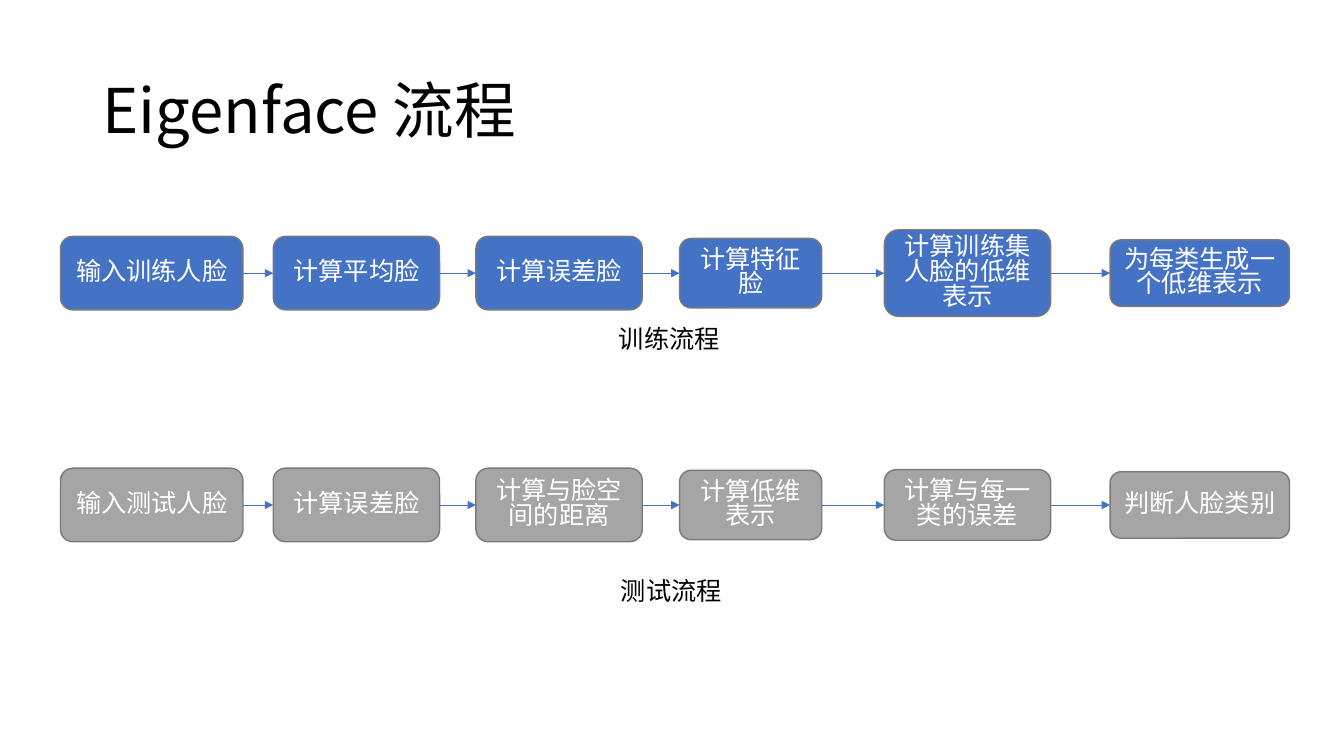
from itertools import pairwise

from lxml.etree import SubElement
from pptx import Presentation
from pptx.dml.color import RGBColor
from pptx.enum.shapes import MSO_CONNECTOR, MSO_SHAPE
from pptx.enum.text import MSO_ANCHOR, PP_ALIGN
from pptx.oxml.ns import qn
from pptx.util import Inches, Pt

COLUMNS = [(0.6, 1.81), (2.71, 1.65), (4.72, 1.65), (6.74, 1.41), (8.77, 1.65), (11.01, 1.78)]
TRAINING_STEPS = ["输入训练人脸", "计算平均脸", "计算误差脸", "计算特征脸",
                  "计算训练集人脸的低维表示", "为每类生成一个低维表示"]
TESTING_STEPS = ["输入测试人脸", "计算误差脸", "计算与脸空间的距离", "计算低维表示",
                 "计算与每一类的误差", "判断人脸类别"]
TRAINING_HEIGHTS = [0.73, 0.73, 0.73, 0.69, 0.86, 0.66]
TESTING_HEIGHTS = [0.73, 0.73, 0.73, 0.69, 0.7, 0.66]


def color(value):
    return RGBColor.from_string(value)


class FlowSlide:
    font = "Noto Sans CJK SC"
    blue = "4472C4"
    gray = "A5A5A5"
    outline = "7A7A7A"
    black = "000000"
    white = "FFFFFF"

    def __init__(self, page):
        self.page = page

    def style_text(self, shape, text, size, text_color, spacing):
        shape.text_frame.text = text
        para = shape.text_frame.paragraphs[0]
        para.line_spacing = spacing
        span = para.runs[0]
        span.font.size = Pt(size)
        span.font.name = self.font
        span.font.color.rgb = color(text_color)
        SubElement(span.font._element, qn("a:ea"), typeface=self.font)
        return para

    def label(self, text, left, top, width, height, size=18, spacing=0.82, wrap=False):
        box = self.page.shapes.add_textbox(Inches(left), Inches(top), Inches(width), Inches(height))
        box.text_frame.word_wrap = wrap
        self.style_text(box, text, size, self.black, spacing)
        return box

    def title(self, text):
        box = self.label(text, 0.92, 0.4, 11.5, 1.45, size=44, spacing=0.9, wrap=True)
        box.text_frame.vertical_anchor = MSO_ANCHOR.MIDDLE

    def step(self, text, left, middle, width, height, fill):
        box = self.page.shapes.add_shape(
            MSO_SHAPE.ROUNDED_RECTANGLE, Inches(left), Inches(middle - height / 2),
            Inches(width), Inches(height))
        box.shadow.inherit = False
        box.fill.solid()
        box.fill.fore_color.rgb = color(fill)
        box.line.color.rgb = color(self.outline)
        box.line.width = Pt(1)
        box.text_frame.word_wrap = True
        box.text_frame.vertical_anchor = MSO_ANCHOR.MIDDLE
        para = self.style_text(box, text, 18, self.white, 0.82)
        para.alignment = PP_ALIGN.CENTER
        return box

    def arrow(self, source, target):
        connector = self.page.shapes.add_connector(MSO_CONNECTOR.STRAIGHT, 0, 0, 0, 0)
        connector.begin_connect(source, 3)
        connector.end_connect(target, 1)
        connector.line.color.rgb = color(self.blue)
        connector.line.width = Pt(0.5)
        SubElement(connector.line._get_or_add_ln(), qn("a:tailEnd"), type="triangle")
        SubElement(connector._element.spPr, qn("a:effectLst"))

    def flow(self, steps, heights, middle, fill):
        boxes = [self.step(text, left, middle, width, height, fill)
                 for text, (left, width), height in zip(steps, COLUMNS, heights)]
        for source, target in pairwise(boxes):
            self.arrow(source, target)


def main():
    deck = Presentation()
    deck.slide_width = Inches(13.33)
    deck.slide_height = Inches(7.5)
    slide = FlowSlide(deck.slides.add_slide(deck.slide_layouts[6]))
    slide.title("Eigenface 流程")
    slide.flow(TRAINING_STEPS, TRAINING_HEIGHTS, 2.71, slide.blue)
    slide.label("训练流程", 6.04, 3.21, 1.21, 0.4)
    slide.flow(TESTING_STEPS, TESTING_HEIGHTS, 5.01, slide.gray)
    slide.label("测试流程", 6.06, 5.71, 1.21, 0.4)
    deck.save("out.pptx")


if __name__ == "__main__":
    main()
